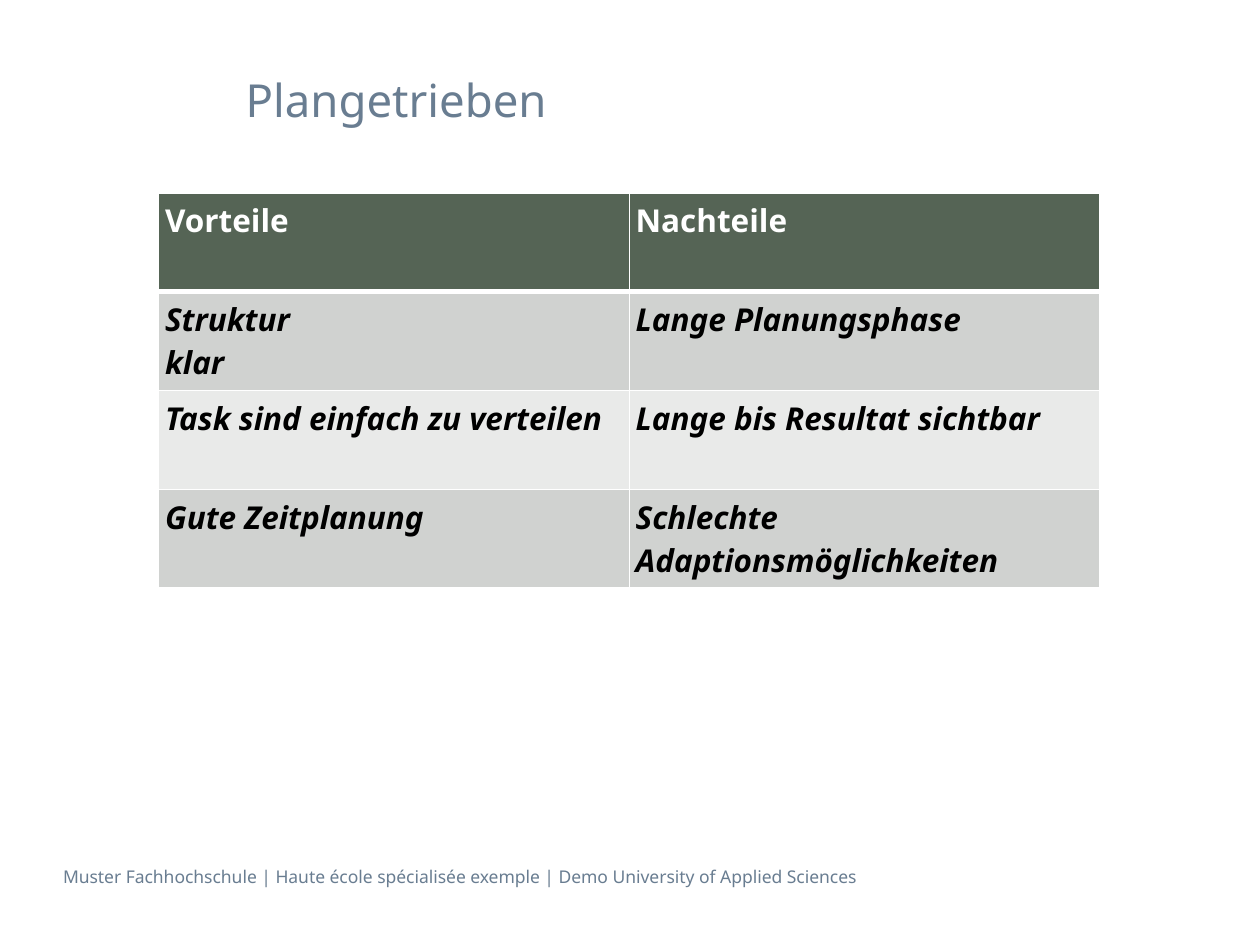
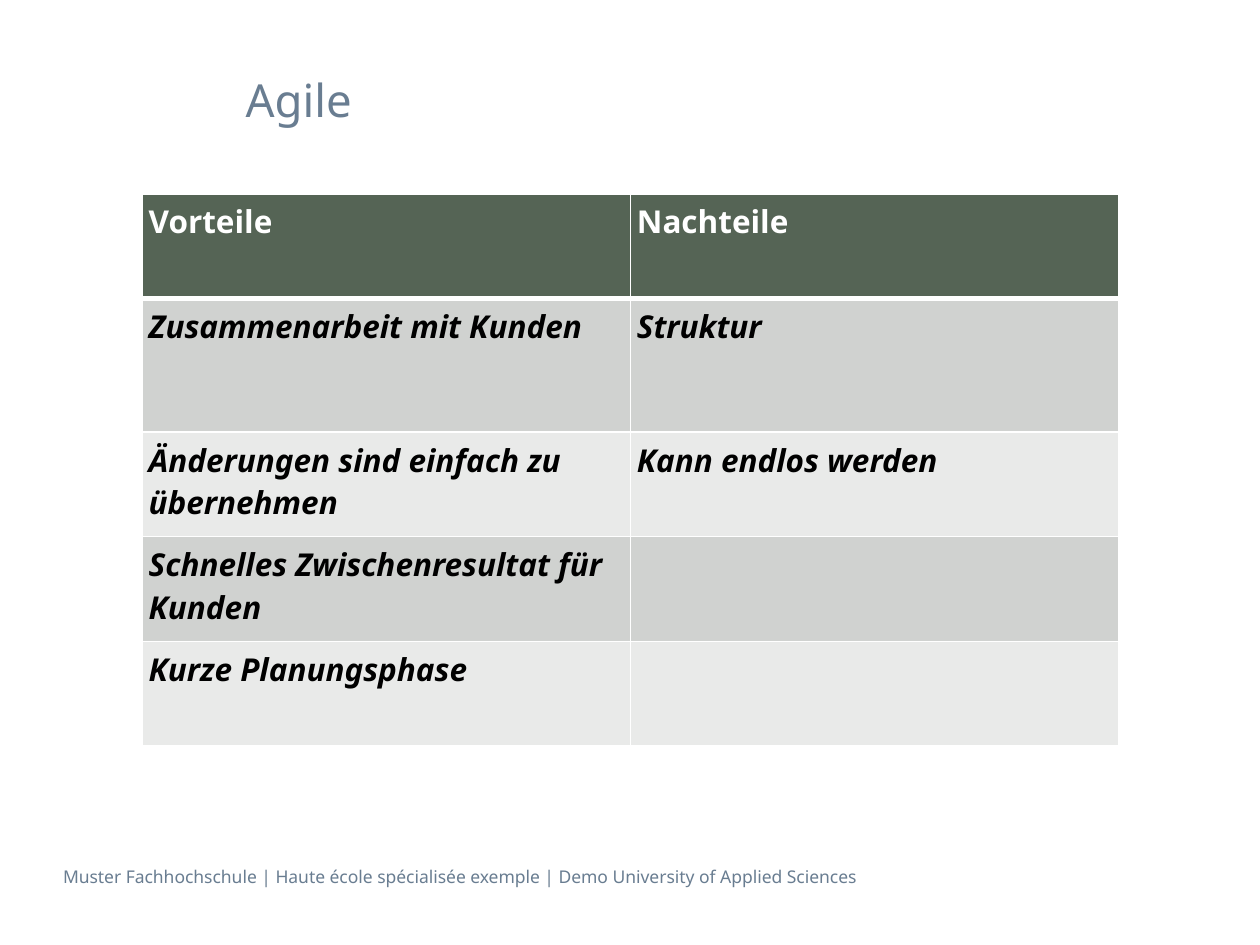
from dataclasses import dataclass

from lxml.etree import SubElement
from pptx import Presentation
from pptx.dml.color import RGBColor
from pptx.oxml.ns import qn
from pptx.util import Inches, Pt


@dataclass(frozen=True)
class Theme:
    font: str = "Noto Sans"
    slate: str = "697D91"
    header: str = "556455"
    bands: tuple[str, str] = ("D0D2D0", "E9EAE9")
    white: str = "FFFFFF"
    black: str = "000000"
    title_size: int = 26
    table_size: int = 18
    footer_size: int = 10
    thin: int = 1
    thick: int = 3


@dataclass(frozen=True)
class Comparison:
    title: str
    left: float
    top: float
    width: float
    row_heights: tuple[float, ...]
    rows: tuple[tuple[str, str], ...]


THEME = Theme()
FOOTER = ("Muster Fachhochschule | Haute école spécialisée exemple | "
          "Demo University of Applied Sciences")
HEADINGS = ("Vorteile", "Nachteile")
CELL_MARGIN = Inches(0.05)

COMPARISONS = (
    Comparison("Plangetrieben", 1.26, 1.53, 7.47, (3.14 / 4,) * 4, (
        ("Struktur\nklar", "Lange Planungsphase"),
        ("Task sind einfach zu verteilen", "Lange bis Resultat sichtbar"),
        ("Gute Zeitplanung", "Schlechte Adaptionsmöglichkeiten"),
    )),
    Comparison("Agile", 1.13, 1.54, 7.75, (0.83, 1.06, 0.83, 0.83, 0.83), (
        ("Zusammenarbeit mit Kunden", "Struktur"),
        ("Änderungen sind einfach zu übernehmen", "Kann endlos werden"),
        ("Schnelles Zwischenresultat für Kunden", ""),
        ("Kurze Planungsphase", ""),
    )),
)


def write_text(tf, text: str, *, size: int, color: str, bold: bool = False,
               italic: bool = False, spacing: float = 1.0) -> None:
    """Fill a text frame, one paragraph per line of text."""
    tf.word_wrap = True
    tf.text = text
    for p in tf.paragraphs:
        p.line_spacing = spacing
        p.font.size = Pt(size)
        for r in p.runs:
            r.font.name = THEME.font
            r.font.size = Pt(size)
            r.font.bold = bold
            r.font.italic = italic
            r.font.color.rgb = RGBColor.from_string(color)


def add_text(s, text: str, left: float, top: float, width: float,
             height: float, **text_format) -> None:
    box = s.shapes.add_textbox(Inches(left), Inches(top), Inches(width), Inches(height))
    tf = box.text_frame
    tf.margin_left = tf.margin_right = tf.margin_top = tf.margin_bottom = 0
    write_text(tf, text, **text_format)


def set_borders(cell, *, top: int, bottom: int) -> None:
    """Draw white borders; they must precede the fill in the cell properties."""
    props = cell._tc.get_or_add_tcPr()
    widths = {"a:lnL": THEME.thin, "a:lnR": THEME.thin, "a:lnT": top, "a:lnB": bottom}
    for position, (tag, width) in enumerate(widths.items()):
        line = SubElement(props, qn(tag), w=str(Pt(width)))
        fill = SubElement(line, qn("a:solidFill"))
        SubElement(fill, qn("a:srgbClr"), val=THEME.white)
        props.insert(position, line)


def fill_cell(cell, text: str, row: int) -> None:
    is_header = row == 0
    cell.margin_left = cell.margin_right = CELL_MARGIN
    cell.margin_top = cell.margin_bottom = CELL_MARGIN
    write_text(cell.text_frame, text, size=THEME.table_size, bold=True,
               italic=not is_header, color=THEME.white if is_header else THEME.black)
    cell.fill.solid()
    color = THEME.header if is_header else THEME.bands[(row - 1) % 2]
    cell.fill.fore_color.rgb = RGBColor.from_string(color)
    set_borders(cell, top=THEME.thick if row == 1 else THEME.thin,
                bottom=THEME.thick if is_header else THEME.thin)


def add_comparison_table(s, comparison: Comparison) -> None:
    rows = (HEADINGS, *comparison.rows)
    table = s.shapes.add_table(
        len(rows), len(HEADINGS), Inches(comparison.left), Inches(comparison.top),
        Inches(comparison.width), Inches(sum(comparison.row_heights))).table
    for column in table.columns:
        column.width = Inches(comparison.width / len(HEADINGS))
    for i, (texts, height) in enumerate(zip(rows, comparison.row_heights)):
        table.rows[i].height = Inches(height)
        for j, text in enumerate(texts):
            fill_cell(table.cell(i, j), text, i)


def add_comparison_slide(prs, comparison: Comparison) -> None:
    s = prs.slides.add_slide(prs.slide_layouts[6])
    add_text(s, FOOTER, 0.5, 6.89, 7.31, 0.17,
             size=THEME.footer_size, color=THEME.slate, spacing=0.9)
    add_text(s, comparison.title, 1.95, 0.6, 7.67, 0.59,
             size=THEME.title_size, color=THEME.slate, spacing=0.95)
    add_comparison_table(s, comparison)


def main() -> None:
    prs = Presentation()
    prs.slide_width = Inches(10)
    prs.slide_height = Inches(7.5)
    for comparison in COMPARISONS:
        add_comparison_slide(prs, comparison)
    prs.save("out.pptx")


if __name__ == "__main__":
    main()
